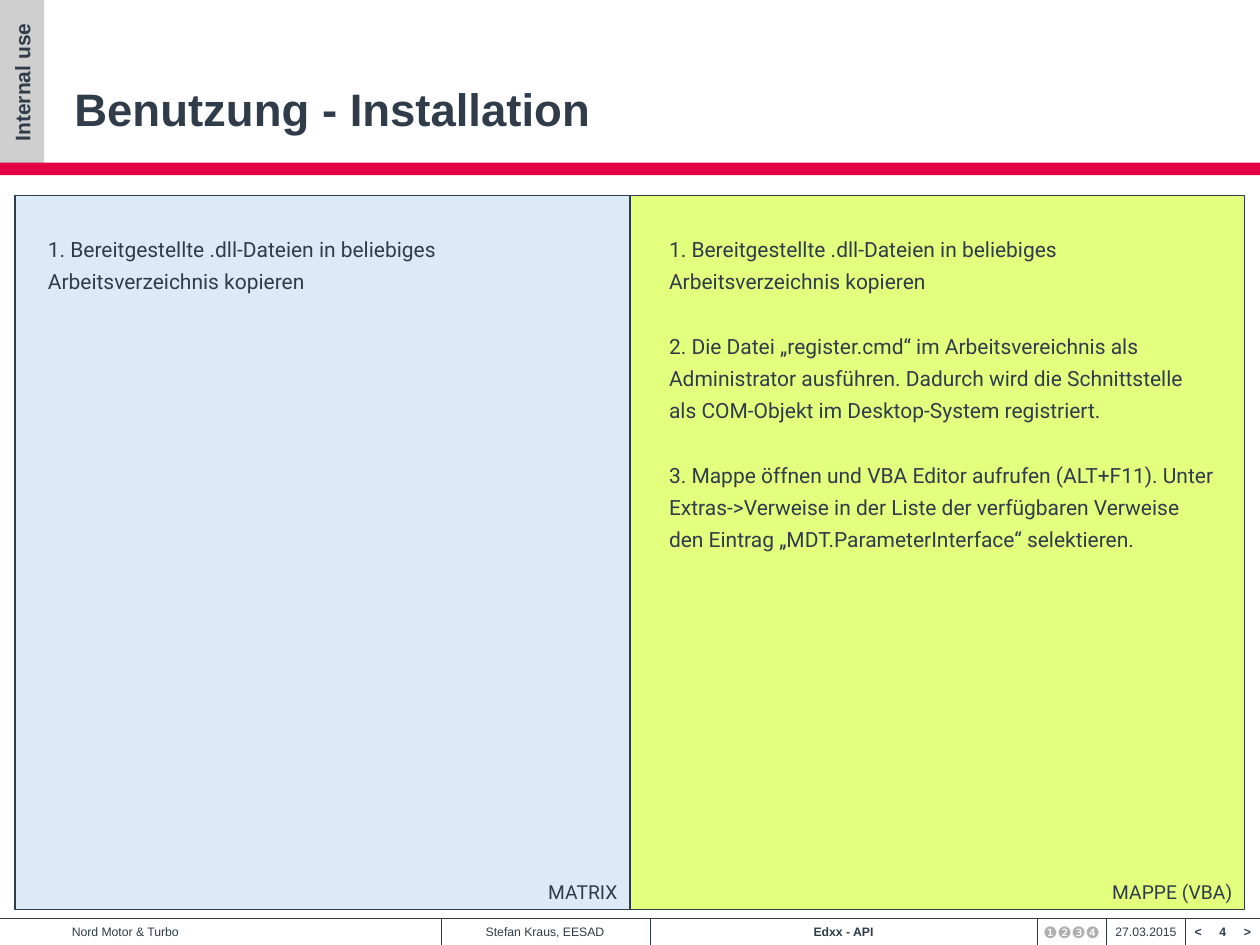
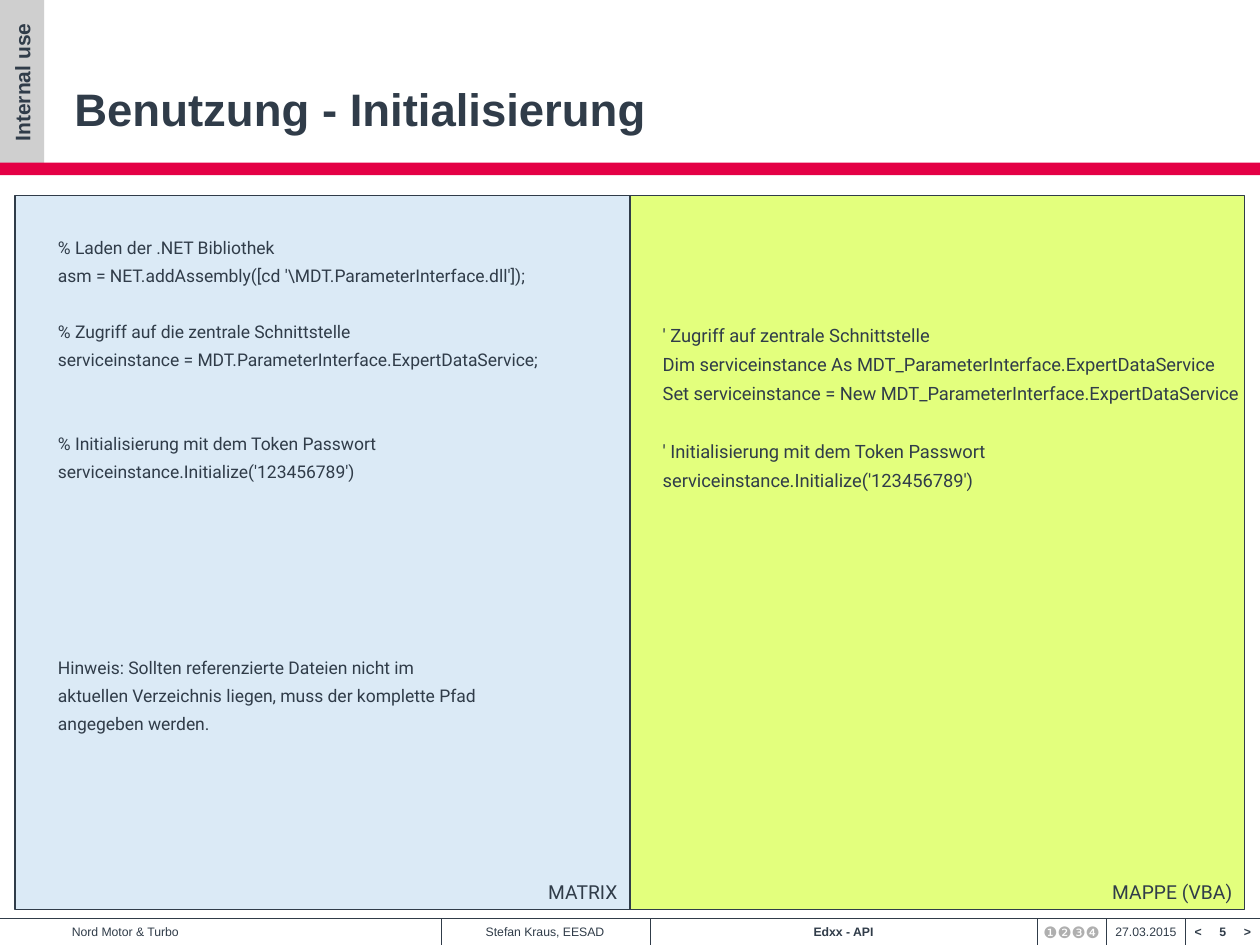
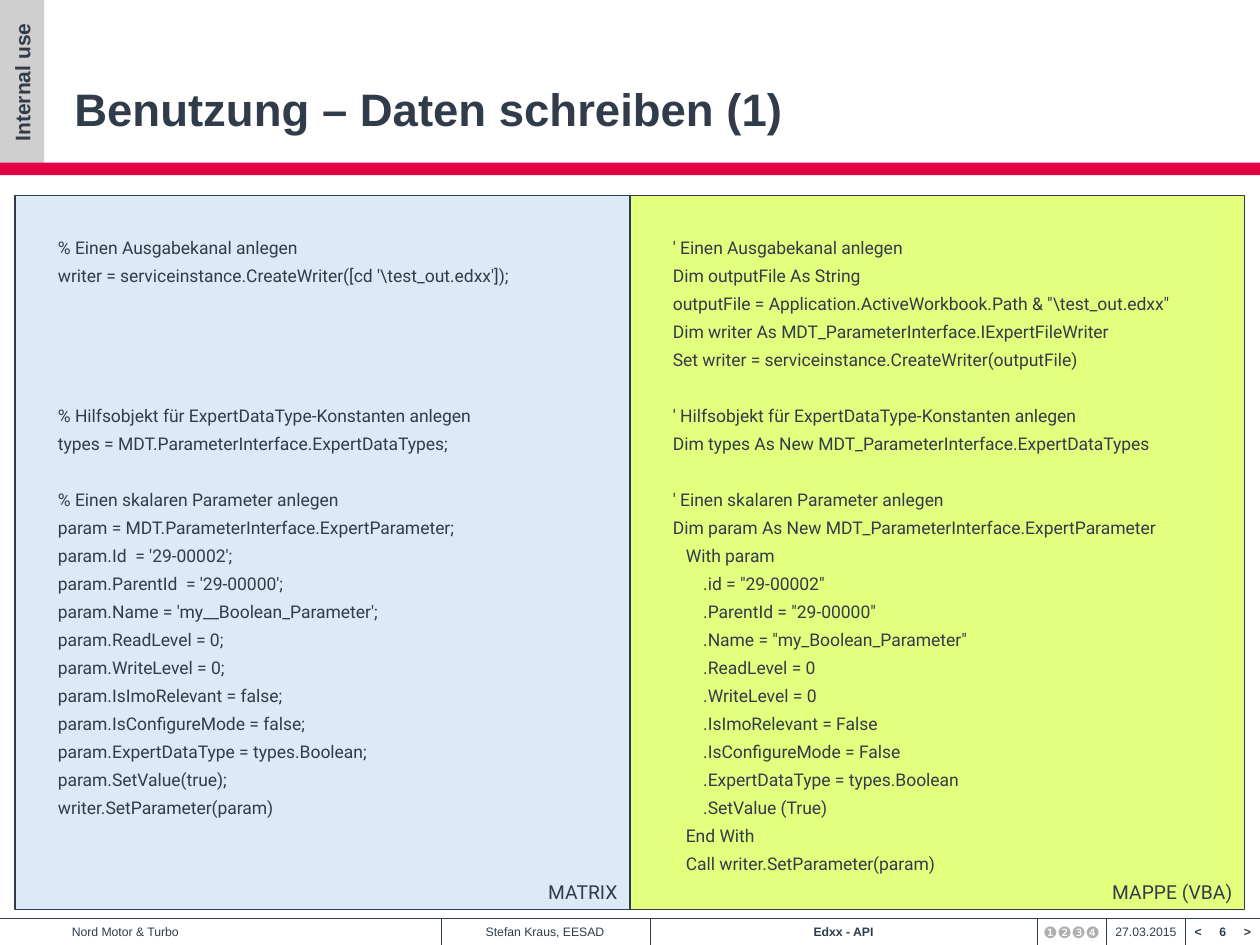
from dataclasses import dataclass
from typing import Any, NamedTuple

from lxml.etree import SubElement
from pptx import Presentation
from pptx.dml.color import RGBColor
from pptx.enum.shapes import MSO_CONNECTOR, MSO_SHAPE
from pptx.enum.text import MSO_ANCHOR, MSO_AUTO_SIZE, PP_ALIGN
from pptx.oxml.ns import qn
from pptx.util import Pt

LEFT, CENTER, RIGHT = PP_ALIGN.LEFT, PP_ALIGN.CENTER, PP_ALIGN.RIGHT
TOP, MIDDLE, BOTTOM = MSO_ANCHOR.TOP, MSO_ANCHOR.MIDDLE, MSO_ANCHOR.BOTTOM
RECT, STRAIGHT, FIXED = MSO_SHAPE.RECTANGLE, MSO_CONNECTOR.STRAIGHT, MSO_AUTO_SIZE.NONE
PX = 9144
WIDE, HIGH = 1000, 750
FOOT_Y, FOOT_H = 729, 21
PANE_Y, PANE_W, PANE_H = 155, 488, 567
TITLE_ONLY = 5


@dataclass(frozen=True)
class Theme:
    """Colours, fonts and type sizes of the deck."""

    ink: str = "303C49"
    red: str = "E40045"
    grey: str = "CFCFCF"
    dots: str = "AFAFAF"
    white: str = "FFFFFF"
    blue: str = "DBEAF6"
    lime: str = "E3FF7D"
    head: str = "Arial"
    body: str = "Roboto"
    title: float = 26
    mark: float = 12
    label: float = 11
    foot: float = 7
    dot: float = 9
    thin: float = 0.5
    edge: float = 0.75
    space: float = 4
    leading: float = 1.2
    blank: float = 3.44


THEME = Theme()


class Box(NamedTuple):
    """Place in px."""

    x: int
    y: int
    w: int
    h: int


class Style(NamedTuple):
    """Look of a text."""

    size: float = THEME.foot
    font: str = THEME.head
    bold: bool = False
    ink: str = THEME.ink
    align: Any = CENTER
    anchor: Any = MIDDLE
    inset: tuple[int, int, int, int] = (0, 0, 0, 0)
    wrap: bool = True


@dataclass(frozen=True)
class Block:
    """Rectangle or bare text on a slide."""

    box: Box
    text: str = ""
    style: Style = Style()
    fill: str = ""
    edge: str = ""
    vert: str = ""


@dataclass(frozen=True)
class Code:
    """Lines of text inside a pane."""

    box: Box
    size: float
    text: str


@dataclass(frozen=True)
class Page:
    """Content of one slide."""

    number: int
    title: str
    width: int
    codes: tuple[Code, ...]


FOOT = Style()
BOLD = Style(bold=True)
LABEL = Style(THEME.label, THEME.body, align=RIGHT, anchor=BOTTOM, inset=(10, 5, 10, 5))
TITLE = Style(THEME.title, bold=True, align=LEFT, anchor=BOTTOM, inset=(0, 0, 0, 7))
MARK = Style(THEME.mark, bold=True)
DOTS = Style(THEME.dot, ink=THEME.dots, anchor=TOP)


def cell(x: int, w: int, text: str, style: Style = FOOT, fill: str = "") -> Block:
    """Make one footer field."""
    return Block(Box(x, FOOT_Y, w, FOOT_H), text, style, fill)


FRAME = (
    Block(Box(0, 0, 35, 131), "Internal use", MARK, THEME.grey, vert="vert270"),
    Block(Box(0, 129, WIDE, 10), fill=THEME.red),
    cell(941, 20, "<", BOLD),
    cell(980, 20, ">", BOLD),
    cell(0, 217, "Nord Motor & Turbo", Style(align=LEFT, inset=(57, 0, 0, 0)), THEME.white),
    cell(350, 165, "Stefan Kraus, EESAD"),
    cell(516, 307, "Edxx - API", BOLD, THEME.white),
    cell(878, 63, "27.03.2015", FOOT, THEME.white),
    Block(Box(823, 732, 55, 16), "❶❷❸❹", DOTS),
)
RULES = (Box(0, FOOT_Y, WIDE, 0),) + tuple(
    Box(x, FOOT_Y, 0, FOOT_H) for x in (941, 878, 823, 516, 350)
)
PANES = tuple(
    Block(Box(12 + i * PANE_W, PANE_Y, PANE_W, PANE_H), text, LABEL, fill, THEME.ink)
    for i, (text, fill) in enumerate((("MATRIX", THEME.blue), ("MAPPE (VBA)", THEME.lime)))
)

PAGES = (
    Page(4, "Benutzung - Installation", 693, (
        Code(Box(531, 188, 431, 407), 12, """1. Bereitgestellte .dll-Dateien in beliebiges
Arbeitsverzeichnis kopieren

2. Die Datei „register.cmd“ im Arbeitsvereichnis als
Administrator ausführen. Dadurch wird die Schnittstelle
als COM-Objekt im Desktop-System registriert.

3. Mappe öffnen und VBA Editor aufrufen (ALT+F11). Unter
Extras->Verweise in der Liste der verfügbaren Verweise
den Eintrag „MDT.ParameterInterface“ selektieren."""),
        Code(Box(38, 188, 431, 100), 12, """1. Bereitgestellte .dll-Dateien in beliebiges
Arbeitsverzeichnis kopieren"""),
    )),
    Page(5, "Benutzung - Initialisierung", 693, (
        Code(Box(46, 188, 431, 407), 10, r"""% Laden der .NET Bibliothek
asm = NET.addAssembly([cd '\MDT.ParameterInterface.dll']);

% Zugriff auf die zentrale Schnittstelle
serviceinstance = MDT.ParameterInterface.ExpertDataService;


% Initialisierung mit dem Token Passwort
serviceinstance.Initialize('123456789')






Hinweis: Sollten referenzierte Dateien nicht im
aktuellen Verzeichnis liegen, muss der komplette Pfad
angegeben werden."""),
        Code(Box(526, 188, 454, 407), 10.5, """


' Zugriff auf zentrale Schnittstelle
Dim serviceinstance As MDT_ParameterInterface.ExpertDataService
Set serviceinstance = New MDT_ParameterInterface.ExpertDataService

' Initialisierung mit dem Token Passwort
serviceinstance.Initialize('123456789')"""),
    )),
    Page(6, "Benutzung – Daten schreiben (1)", 740, (
        Code(Box(46, 188, 439, 502), 10, r"""% Einen Ausgabekanal anlegen
writer = serviceinstance.CreateWriter([cd '\test_out.edxx']);




% Hilfsobjekt für ExpertDataType-Konstanten anlegen
types = MDT.ParameterInterface.ExpertDataTypes;

% Einen skalaren Parameter anlegen
param = MDT.ParameterInterface.ExpertParameter;
param.Id  = '29-00002';
param.ParentId  = '29-00000';
param.Name = 'my__Boolean_Parameter';
param.ReadLevel = 0;
param.WriteLevel = 0;
param.IsImoRelevant = false;
param.IsConfigureMode = false;
param.ExpertDataType = types.Boolean;
param.SetValue(true);
writer.SetParameter(param)"""),
        Code(Box(534, 188, 439, 509), 10, r"""' Einen Ausgabekanal anlegen
Dim outputFile As String
outputFile = Application.ActiveWorkbook.Path & "\test_out.edxx"
Dim writer As MDT_ParameterInterface.IExpertFileWriter
Set writer = serviceinstance.CreateWriter(outputFile)

' Hilfsobjekt für ExpertDataType-Konstanten anlegen
Dim types As New MDT_ParameterInterface.ExpertDataTypes

' Einen skalaren Parameter anlegen
Dim param As New MDT_ParameterInterface.ExpertParameter
   With param
       .id = "29-00002"
       .ParentId = "29-00000"
       .Name = "my_Boolean_Parameter"
       .ReadLevel = 0
       .WriteLevel = 0
       .IsImoRelevant = False
       .IsConfigureMode = False
       .ExpertDataType = types.Boolean
       .SetValue (True)
   End With
   Call writer.SetParameter(param)"""),
    )),
)


def apply(item: Any, values: dict[str, Any]) -> None:
    """Set each named value on the item."""
    for name, value in values.items():
        setattr(item, name, value)


def scale(box: Box) -> tuple[int, ...]:
    """Turn px into EMU."""
    return tuple(side * PX for side in box)


def write(frame: Any, text: str, style: Style) -> None:
    """Fill a frame, turning empty lines into space and leading blanks into indents."""
    sides = ("margin_left", "margin_top", "margin_right", "margin_bottom")
    apply(frame, dict(zip(sides, (side * PX for side in style.inset))))
    apply(frame, {"word_wrap": style.wrap, "auto_size": FIXED, "vertical_anchor": style.anchor})
    pitch = style.size * THEME.leading + THEME.space
    para, gap = None, 0
    for line in text.split("\n"):
        if not line:
            gap += 1
            continue
        if para is None:
            para = frame.paragraphs[0]
            frame.margin_top += Pt(gap * pitch)
            before = 0
        else:
            para = frame.add_paragraph()
            before = THEME.space + gap * pitch
        gap = 0
        words = line.lstrip()
        apply(para, {"alignment": style.align, "space_before": Pt(before)})
        indent = len(line) - len(words)
        if indent:
            para._p.get_or_add_pPr().set("marL", str(round(indent * THEME.blank * PX)))
        run = para.add_run()
        run.text = words
        apply(run.font, {"name": style.font, "size": Pt(style.size), "bold": style.bold})
        run.font.color.rgb = RGBColor.from_string(style.ink)


def draw(slide: Any, block: Block) -> None:
    """Draw a block as a filled shape or a text box."""
    if block.fill:
        shape = slide.shapes.add_shape(RECT, *scale(block.box))
        shape.shadow.inherit = False
        shape.fill.solid()
        shape.fill.fore_color.rgb = RGBColor.from_string(block.fill)
        if block.edge:
            shape.line.color.rgb = RGBColor.from_string(block.edge)
            shape.line.width = Pt(THEME.edge)
        else:
            shape.line.fill.background()
    else:
        shape = slide.shapes.add_textbox(*scale(block.box))
    if block.text:
        write(shape.text_frame, block.text, block.style)
    if block.vert:
        shape.element.txBody.bodyPr.set("vert", block.vert)


def rule(slide: Any, box: Box) -> None:
    """Draw a thin footer line."""
    x, y, w, h = scale(box)
    line = slide.shapes.add_connector(STRAIGHT, x, y, x + w, y + h)
    line.line.color.rgb = RGBColor.from_string(THEME.ink)
    line.line.width = Pt(THEME.thin)
    SubElement(line.element.spPr, qn("a:effectLst"))


def build(deck: Any, page: Page) -> None:
    """Add one slide with frame, title, panes and code."""
    slide = deck.slides.add_slide(deck.slide_layouts[TITLE_ONLY])
    for block in FRAME:
        draw(slide, block)
    draw(slide, cell(941, 59, str(page.number), BOLD))
    for box in RULES:
        rule(slide, box)
    title = slide.shapes.title
    place = scale(Box(59, 21, page.width, 94))
    apply(title, dict(zip(("left", "top", "width", "height"), place)))
    write(title.text_frame, page.title, TITLE)
    for pane in PANES:
        draw(slide, pane)
    for code in page.codes:
        style = Style(code.size, THEME.body, align=LEFT, anchor=TOP, wrap=False)
        draw(slide, Block(code.box, code.text, style))


def main() -> None:
    """Build and save the deck."""
    deck = Presentation()
    apply(deck, {"slide_width": WIDE * PX, "slide_height": HIGH * PX})
    for page in PAGES:
        build(deck, page)
    deck.save("out.pptx")


if __name__ == "__main__":
    main()
